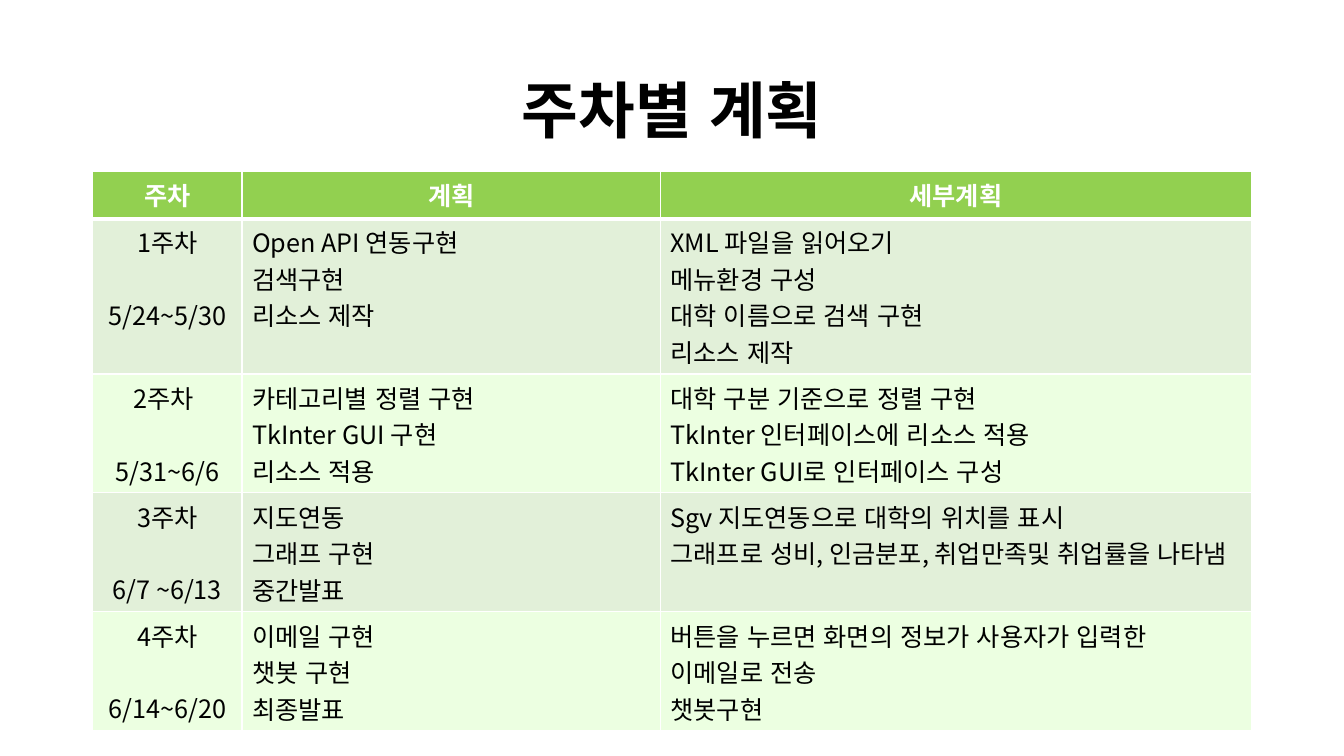
"""Build a slide with a table of the plan for each project week."""
from dataclasses import dataclass

from lxml import etree
from pptx import Presentation
from pptx.dml.color import RGBColor
from pptx.enum.lang import MSO_LANGUAGE_ID
from pptx.enum.text import MSO_ANCHOR, PP_ALIGN
from pptx.oxml.ns import qn
from pptx.util import Inches, Pt

CENTER, LEFT = PP_ALIGN.CENTER, PP_ALIGN.LEFT
MIDDLE = MSO_ANCHOR.MIDDLE
KOREAN = MSO_LANGUAGE_ID.KOREAN


@dataclass(frozen=True)
class Theme:
    font: str = "Noto Sans CJK KR"
    text: str = "000000"
    white: str = "FFFFFF"
    header: str = "92D050"
    bands: tuple = ("E2F0D9", "ECFFE1")
    title_size: int = 44
    table_size: int = 18
    date_gap: int = 26


theme = Theme()


def write(frame, lines, *, size=theme.table_size, color=theme.text, bold=False,
          align=LEFT, spacing=1.0, gap=0):
    """Fill a text frame with one paragraph per line, set apart by gap points."""
    for index, line in enumerate(lines):
        para = frame.add_paragraph() if index else frame.paragraphs[0]
        para.alignment = align
        para.line_spacing = spacing
        para.space_before = Pt(gap if index else 0)
        span = para.add_run()
        span.text = line
        span.font.name = theme.font
        span.font.size = Pt(size)
        span.font.bold = bold
        span.font.language_id = KOREAN
        span.font.color.rgb = RGBColor.from_string(color)
        east_asian = etree.SubElement(span.font._element, qn("a:ea"))
        east_asian.set("typeface", theme.font)


def set_borders(cell, **widths):
    """Draw white cell borders with the given widths in points."""
    properties = cell._tc.get_or_add_tcPr()
    for position, side in enumerate("LRTB"):
        line = etree.Element(qn(f"a:ln{side}"), w=str(Pt(widths.get(side, 1))))
        fill = etree.SubElement(line, qn("a:solidFill"))
        etree.SubElement(fill, qn("a:srgbClr"), val=theme.white)
        properties.insert(position, line)


headings = ["주차", "계획", "세부계획"]
weeks = [
    (["1주차", "5/24~5/30"],
     ["Open API 연동구현", "검색구현", "리소스 제작"],
     ["XML 파일을 읽어오기", "메뉴환경 구성", "대학 이름으로 검색 구현", "리소스 제작"]),
    (["2주차 ", "5/31~6/6"],
     ["카테고리별 정렬 구현", "TkInter GUI 구현", "리소스 적용"],
     ["대학 구분 기준으로 정렬 구현", "TkInter 인터페이스에 리소스 적용",
      "TkInter GUI로 인터페이스 구성"]),
    (["3주차", "6/7 ~6/13"],
     ["지도연동", "그래프 구현", "중간발표"],
     ["Sgv 지도연동으로 대학의 위치를 표시",
      "그래프로 성비, 인금분포, 취업만족및 취업률을 나타냄"]),
    (["4주차", "6/14~6/20"],
     ["이메일 구현", "챗봇 구현", "최종발표"],
     ["버튼을 누르면 화면의 정보가 사용자가 입력한 이메일로 전송", "챗봇구현"]),
]
column_widths = [1.48, 4.15, 5.86]
row_heights = [0.47, 1.54, 1.18, 1.18, 1.18]

deck = Presentation()
deck.slide_width, deck.slide_height = Inches(13.33), Inches(7.5)
page = deck.slides.add_slide(deck.slide_layouts[6])

title_box = page.shapes.add_textbox(Inches(0.92), Inches(0.4), Inches(11.5), Inches(1.45))
title_box.text_frame.word_wrap = True
title_box.text_frame.vertical_anchor = MIDDLE
write(title_box.text_frame, ["주차별 계획"], size=theme.title_size, bold=True,
      align=CENTER, spacing=0.9)

plan = page.shapes.add_table(
    len(row_heights), len(headings), Inches(0.92), Inches(1.7),
    Inches(sum(column_widths)), Inches(sum(row_heights))).table
plan.horz_banding = False
for column, width in zip(plan.columns, column_widths):
    column.width = Inches(width)
for row, height in zip(plan.rows, row_heights):
    row.height = Inches(height)

for cell, heading in zip(plan.rows[0].cells, headings):
    cell.fill.solid()
    cell.fill.fore_color.rgb = RGBColor.from_string(theme.header)
    set_borders(cell, B=3)
    write(cell.text_frame, [heading], color=theme.white, bold=True, align=CENTER)

for number, week in enumerate(weeks, start=1):
    band = theme.bands[(number - 1) % len(theme.bands)]
    for column, lines in enumerate(week):
        cell = plan.cell(number, column)
        cell.fill.solid()
        cell.fill.fore_color.rgb = RGBColor.from_string(band)
        set_borders(cell, T=3 if number == 1 else 1)
        is_date = column == 0
        write(cell.text_frame, lines, align=CENTER if is_date else LEFT,
              gap=theme.date_gap if is_date else 0)

deck.save("out.pptx")
